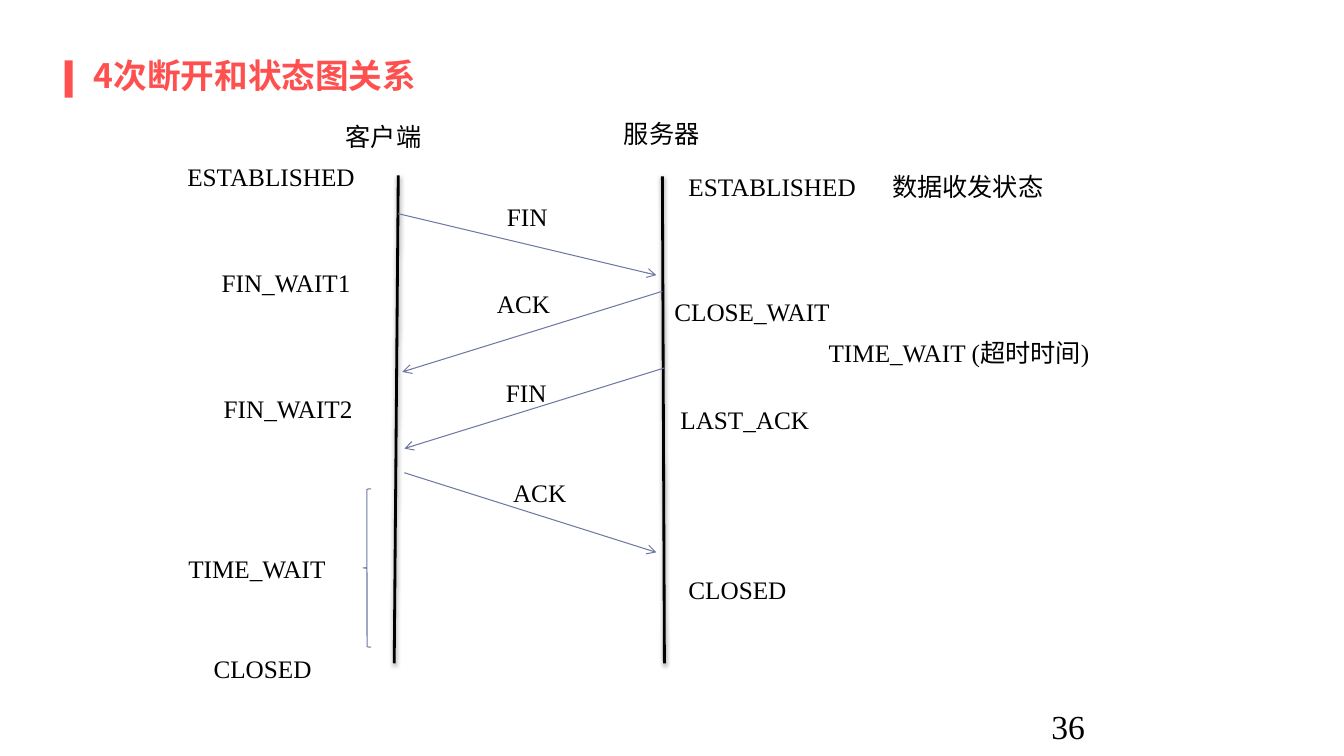
from lxml.etree import SubElement
from pptx import Presentation
from pptx.dml.color import RGBColor
from pptx.enum.shapes import MSO_CONNECTOR, MSO_SHAPE
from pptx.enum.text import MSO_ANCHOR, PP_ALIGN
from pptx.oxml.ns import qn
from pptx.util import Inches, Pt

COLORS = {"accent": "FF5050", "text": "000000", "arrow": "6E79A1", "lifeline": "000000"}
LATIN_FONT = "Times New Roman"
CHINESE_FONT = "Noto Sans CJK SC"
LABEL_HEIGHT = 0.4

# Lifelines and messages: start x, start y, end x, end y
LIFELINES = [(3.95, 1.74, 3.91, 6.58), (6.57, 1.75, 6.59, 6.58)]
MESSAGES = [
    (3.95, 2.12, 6.51, 2.73),
    (6.57, 2.89, 3.99, 3.69),
    (6.59, 3.65, 4.01, 4.45),
    (4.01, 4.69, 6.51, 5.48),
]

# Labels: text, left, top, width
LABELS = [
    # Column heads
    ("客户端", 3.33, 1.15, 0.95),
    ("服务器", 6.09, 1.12, 0.95),
    # Client states
    ("ESTABLISHED", 1.76, 1.55, 1.86),
    ("FIN_WAIT1", 2.1, 2.6, 1.48),
    ("FIN_WAIT2", 2.12, 3.85, 1.48),
    ("TIME_WAIT", 1.77, 5.44, 1.56),
    ("CLOSED", 2.02, 6.43, 1.17),
    # Messages
    ("FIN", 4.93, 1.95, 0.6),
    ("ACK", 4.83, 2.81, 0.73),
    ("FIN", 4.92, 3.69, 0.6),
    ("ACK", 4.99, 4.69, 0.73),
    # Server states
    ("ESTABLISHED", 6.73, 1.65, 1.86),
    ("CLOSE_WAIT", 6.59, 2.89, 1.74),
    ("LAST_ACK", 6.65, 3.96, 1.48),
    ("CLOSED", 6.73, 5.65, 1.17),
]
# Notes wrap inside their width
NOTES = [
    ("数据收发状态", 8.75, 1.65, 1.71),
    ("TIME_WAIT (超时时间)", 8.12, 3.3, 2.79),
]


def rgb(name):
    return RGBColor.from_string(COLORS[name])


def write_text(text_frame, text, size=18, font=LATIN_FONT, color="text", bold=False):
    paragraph = text_frame.paragraphs[0]
    paragraph.alignment = PP_ALIGN.LEFT
    run = paragraph.add_run()
    run.text = text
    run.font.size = Pt(size)
    run.font.name = font
    run.font.bold = bold
    run.font.color.rgb = rgb(color)
    east_asian = SubElement(run.font._element, qn("a:ea"))
    east_asian.set("typeface", CHINESE_FONT)


def add_label(slide, text, left, top, width, wrap=False, **text_format):
    box = slide.shapes.add_textbox(
        Inches(left), Inches(top), Inches(width), Inches(LABEL_HEIGHT))
    box.text_frame.word_wrap = wrap
    write_text(box.text_frame, text, **text_format)


def add_line(slide, ends, color, width):
    connector = slide.shapes.add_connector(
        MSO_CONNECTOR.STRAIGHT, *[Inches(value) for value in ends])
    connector.line.color.rgb = rgb(color)
    connector.line.width = Pt(width)
    effects = SubElement(connector._element.spPr, qn("a:effectLst"))
    return connector, effects


def add_lifeline(slide, ends):
    effects = add_line(slide, ends, "lifeline", 2)[1]
    shadow = SubElement(
        effects, qn("a:outerShdw"), blurRad=str(Pt(3.1)), dist=str(Pt(1.6)),
        dir="5400000", rotWithShape="0")
    shadow_color = SubElement(shadow, qn("a:srgbClr"), val=COLORS["lifeline"])
    SubElement(shadow_color, qn("a:alpha"), val="38000")


def add_message(slide, ends):
    connector = add_line(slide, ends, "arrow", 0.75)[0]
    SubElement(connector.line._get_or_add_ln(), qn("a:tailEnd"), type="arrow")


def add_title(slide, text):
    # Accent bar
    bar = slide.shapes.add_shape(
        MSO_SHAPE.RECTANGLE, Inches(0.64), Inches(0.6), Inches(0.08), Inches(0.37))
    bar.shadow.inherit = False
    bar.fill.solid()
    bar.fill.fore_color.rgb = rgb("accent")
    bar.line.fill.background()

    title = slide.shapes.title
    title.left, title.top = Inches(0.83), Inches(0.51)
    title.width, title.height = Inches(11.68), Inches(0.46)
    title.text_frame.vertical_anchor = MSO_ANCHOR.MIDDLE
    write_text(title.text_frame, text, size=24, font=CHINESE_FONT,
               color="accent", bold=True)


def add_brace(slide):
    brace = slide.shapes.add_shape(
        MSO_SHAPE.LEFT_BRACE, Inches(3.6), Inches(4.85), Inches(0.08), Inches(1.57))
    brace.shadow.inherit = False
    brace.fill.background()
    brace.line.color.rgb = rgb("arrow")
    brace.line.width = Pt(0.75)


def main():
    presentation = Presentation()
    presentation.slide_width = Inches(13.33)
    presentation.slide_height = Inches(7.5)
    slide = presentation.slides.add_slide(presentation.slide_layouts[5])

    add_title(slide, "4次断开和状态图关系")

    # Sequence diagram
    for ends in LIFELINES:
        add_lifeline(slide, ends)
    for ends in MESSAGES:
        add_message(slide, ends)
    add_brace(slide)
    for label in LABELS:
        add_label(slide, *label)
    for note in NOTES:
        add_label(slide, *note, wrap=True)

    # Page number
    add_label(slide, "36", 10.33, 6.95, 3, wrap=True, size=24)

    presentation.save("out.pptx")


if __name__ == "__main__":
    main()
